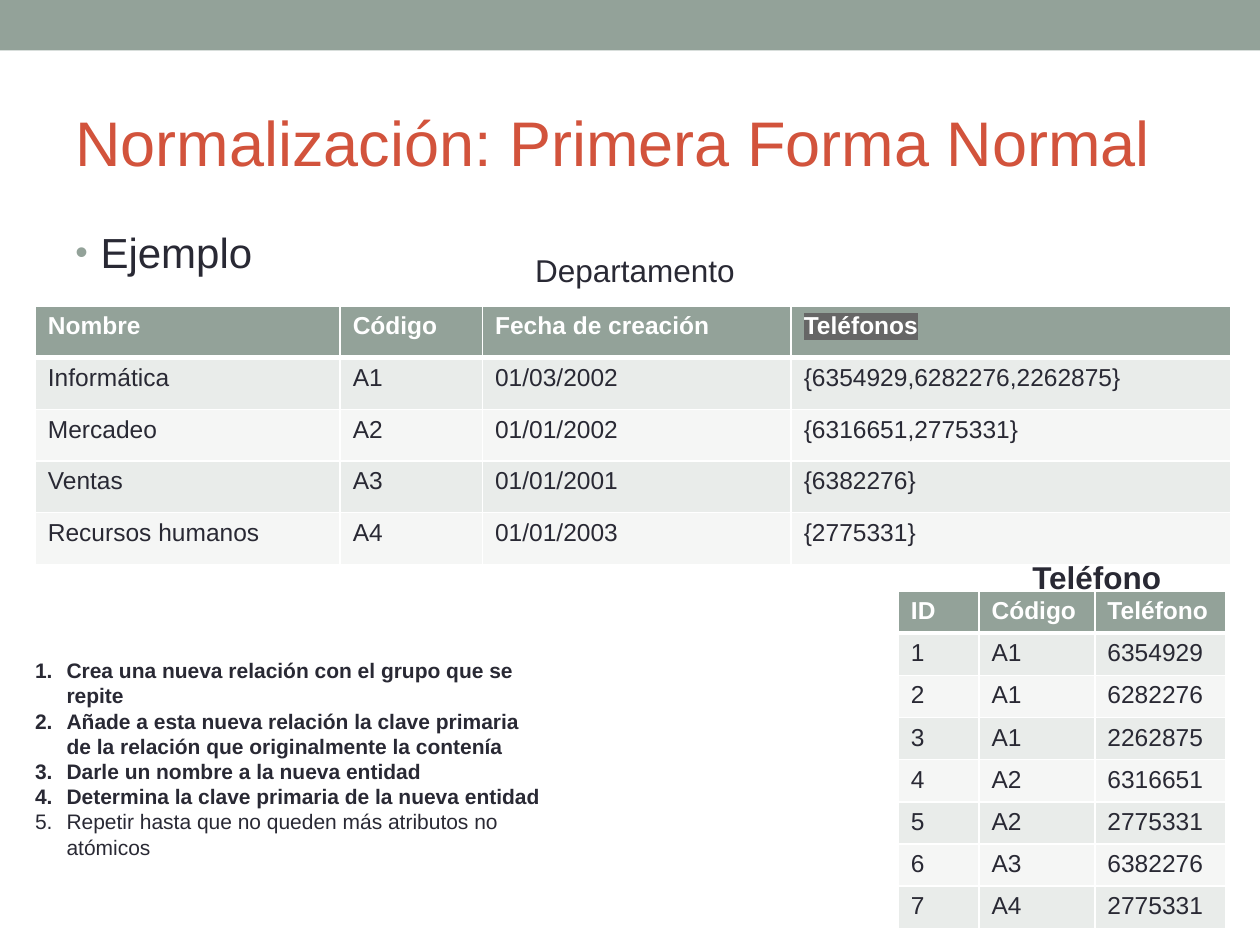
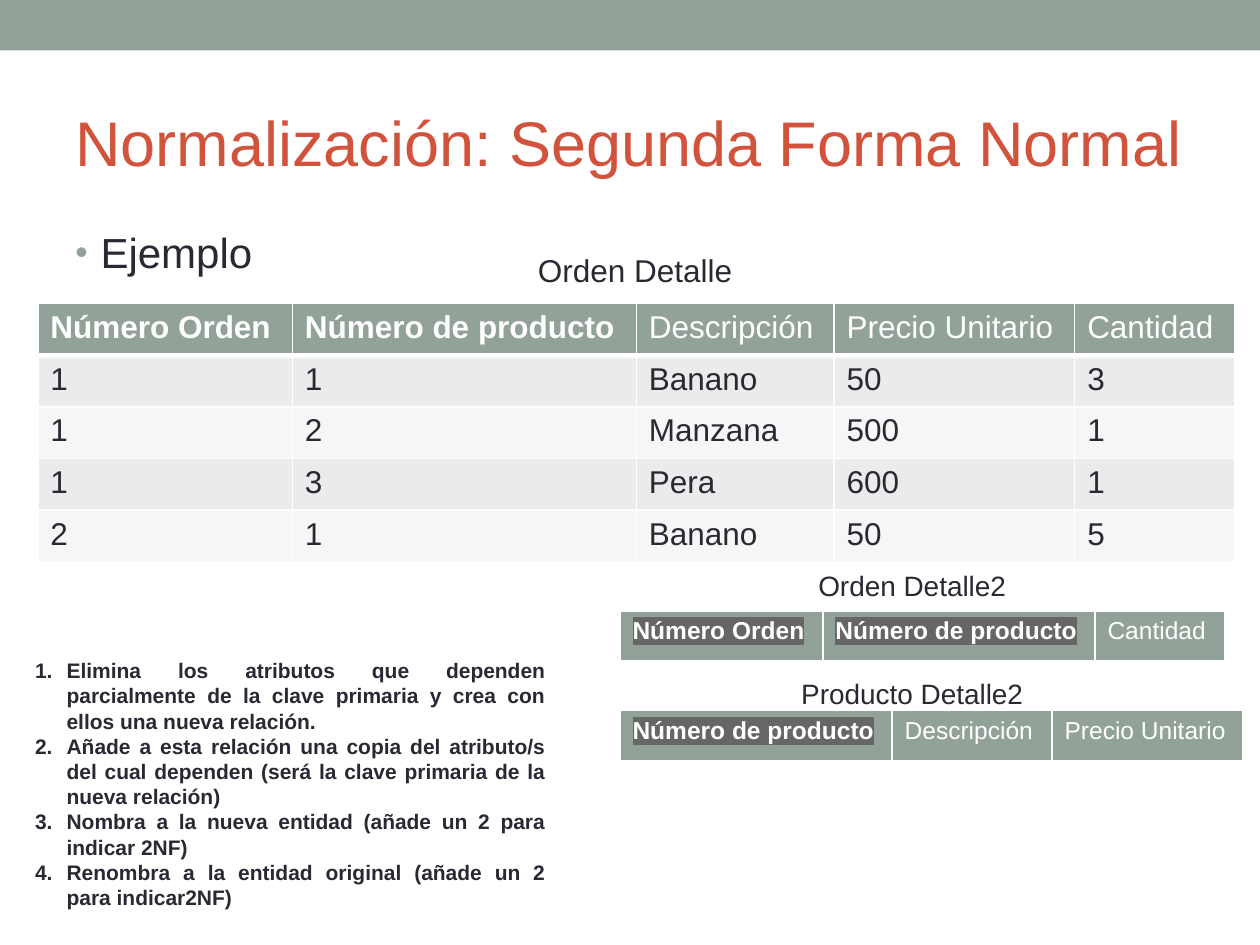
from lxml import etree
from pptx import Presentation, util as u
from pptx.dml.color import RGBColor
from pptx.enum import shapes, text
from pptx.oxml.ns import qn

PX = 9144  # EMU in one px, 100 px to the inch
FONT = "Arial"
COLORS = {
    "sage": "93A299", "title": "D2533C", "ink": "292934", "white": "FFFFFF",
    "odd_row": "E9ECEA", "even_row": "F5F6F5", "mark": "666666",
}
LEFT, CENTER, JUSTIFY = text.PP_ALIGN.LEFT, text.PP_ALIGN.CENTER, text.PP_ALIGN.JUSTIFY


def px(length):
    return u.Emu(length * PX)


def rgb(color):
    return RGBColor.from_string(COLORS[color])


def add_color(parent, color):
    etree.SubElement(parent, qn("a:srgbClr"), val=COLORS[color])


def write(paragraph, words, size=14, color="ink", bold=False, align=LEFT, mark=None):
    """Put one formatted run into a paragraph."""
    paragraph.alignment = align
    run = paragraph.add_run()
    run.text = words
    font = run.font
    font.name, font.size, font.bold = FONT, u.Pt(size), bold
    font.color.rgb = rgb(color)
    if mark:
        properties = run._r.get_or_add_rPr()
        highlight = etree.Element(qn("a:highlight"))
        add_color(highlight, mark)
        properties.find(qn("a:solidFill")).addnext(highlight)


def add_bullet(paragraph, indent, color, percent, tag, **attributes):
    """Give a paragraph a hanging bullet or number."""
    properties = paragraph._p.get_or_add_pPr()
    properties.set("marL", str(px(indent)))
    properties.set("indent", str(px(-indent)))
    add_color(etree.SubElement(properties, qn("a:buClr")), color)
    etree.SubElement(properties, qn("a:buSzPct"), val=str(percent * 1000))
    etree.SubElement(properties, qn("a:buFont"), typeface=FONT)
    etree.SubElement(properties, qn(tag), **attributes)


def add_borders(cell, top, bottom):
    """Draw white cell borders; top and bottom are widths in points."""
    properties = cell._tc.get_or_add_tcPr()
    for side, width in (("L", 1), ("R", 1), ("T", top), ("B", bottom)):
        line = etree.SubElement(properties, qn(f"a:ln{side}"), w=str(u.Pt(width)))
        add_color(etree.SubElement(line, qn("a:solidFill")), "white")


class Deck:
    def __init__(self):
        self.presentation = Presentation()
        self.presentation.slide_width = px(1000)
        self.presentation.slide_height = px(750)
        self.slide = None

    def text_frame(self, left, top, width, height, anchor=text.MSO_ANCHOR.TOP):
        box = self.slide.shapes.add_textbox(px(left), px(top), px(width), px(height))
        frame = box.text_frame
        frame.word_wrap = True
        frame.vertical_anchor = anchor
        return frame

    def new_slide(self, title):
        """Start a slide with the top band, the title and the Ejemplo bullet."""
        self.slide = self.presentation.slides.add_slide(self.presentation.slide_layouts[6])
        band = self.slide.shapes.add_shape(
            shapes.MSO_SHAPE.RECTANGLE, 0, 0, px(1000), px(40))
        band.shadow.inherit = False
        band.fill.solid()
        band.fill.fore_color.rgb = rgb("sage")
        band.line.fill.background()

        heading = self.text_frame(50, 58, 900, 108, text.MSO_ANCHOR.MIDDLE)
        write(heading.paragraphs[0], title, size=36, color="title")

        example = self.text_frame(50, 175, 900, 533).paragraphs[0]
        write(example, "Ejemplo", size=24, align=JUSTIFY)
        add_bullet(example, 20, "sage", 85, "a:buChar", char="•")

    def caption(self, words, left, top, width=260, height=40, **style):
        frame = self.text_frame(left, top, width, height)
        write(frame.paragraphs[0], words, align=CENTER, **style)

    def steps(self, items, height, bold_count, align=LEFT):
        frame = self.text_frame(18, 517, 425, height)
        for index, item in enumerate(items):
            paragraph = frame.paragraphs[0] if index == 0 else frame.add_paragraph()
            paragraph.line_spacing = u.Pt(14.4)
            write(paragraph, item, size=12, bold=index < bold_count, align=align)
            add_bullet(paragraph, 25, "ink", 100, "a:buAutoNum", type="arabicPeriod")

    def table(self, left, top, columns, row_height, rows, bold=(), marked=(), size=14):
        """Draw a table; bold and marked name header cells."""
        table = self.slide.shapes.add_table(
            len(rows), len(columns), px(left), px(top),
            px(sum(columns)), px(row_height * len(rows))).table
        table.first_row = table.horz_banding = False
        for column, width in zip(table.columns, columns):
            column.width = px(width)
        for index, values in enumerate(rows):
            table.rows[index].height = px(row_height)
            header = index == 0
            fill = "sage" if header else "odd_row" if index % 2 else "even_row"
            for column, value in enumerate(values):
                cell = table.cell(index, column)
                add_borders(cell, top=3 if index == 1 else 1, bottom=3 if header else 1)
                cell.fill.solid()
                cell.fill.fore_color.rgb = rgb(fill)
                write(cell.text_frame.paragraphs[0], value, size=size,
                      color="white" if header else "ink",
                      bold=header and value in bold,
                      mark="mark" if header and value in marked else None)


def first_normal_form(deck):
    deck.new_slide("Normalización: Primera Forma Normal")

    # Department table
    header = ("Nombre", "Código", "Fecha de creación", "Teléfonos")
    departments = [
        header,
        ("Informática", "A1", "01/03/2002", "{6354929,6282276,2262875}"),
        ("Mercadeo", "A2", "01/01/2002", "{6316651,2775331}"),
        ("Ventas", "A3", "01/01/2001", "{6382276}"),
        ("Recursos humanos", "A4", "01/01/2003", "{2775331}"),
    ]
    deck.table(28, 243, (242, 113, 245, 349), 41, departments,
               bold=header, marked=("Teléfonos",))
    deck.caption("Departamento", 374, 194, size=18)

    # Steps
    deck.steps([
        "Crea una nueva relación con el grupo que se repite",
        "Añade a esta nueva relación la clave primaria de la relación que "
        "originalmente la contenía",
        "Darle un nombre a la nueva entidad",
        "Determina la clave primaria de la nueva entidad",
        "Repetir hasta que no queden más atributos no atómicos",
    ], height=172, bold_count=4)

    # Phone table, numbered by row
    header = ("ID", "Código", "Teléfono")
    phones = [
        ("A1", "6354929"), ("A1", "6282276"), ("A1", "2262875"), ("A2", "6316651"),
        ("A2", "2775331"), ("A3", "6382276"), ("A4", "2775331"),
    ]
    numbered = [(str(number), *phone) for number, phone in enumerate(phones, 1)]
    deck.table(713, 469, (64, 92, 104), 33.5, [header] + numbered, bold=header)
    deck.caption("Teléfono", 768, 438, width=205, height=31, size=18, bold=True)


def second_normal_form(deck):
    deck.new_slide("Normalización: Segunda Forma Normal")
    order, product = keys = ("Número Orden", "Número de producto")

    # Order detail table
    details = [
        (order, product, "Descripción", "Precio Unitario", "Cantidad"),
        ("1", "1", "Banano", "50", "3"),
        ("1", "2", "Manzana", "500", "1"),
        ("1", "3", "Pera", "600", "1"),
        ("2", "1", "Banano", "50", "5"),
    ]
    deck.table(30, 241, (202, 273, 157, 191, 127), 41, details, bold=keys, size=18)
    deck.caption("Orden Detalle", 374, 194, size=18)

    # Steps
    deck.steps([
        "Elimina los atributos que dependen parcialmente de la clave primaria y "
        "crea con ellos una nueva relación.",
        "Añade a esta relación una copia del atributo/s del cual dependen (será la "
        "clave primaria de la nueva relación)",
        "Nombra a la nueva entidad (añade un 2 para indicar 2NF)",
        "Renombra a la entidad original (añade un 2 para indicar2NF)",
    ], height=212, bold_count=4, align=JUSTIFY)

    # Resulting relations
    relations = [
        ("Orden Detalle2", 446, 485, (161, 216, 103), (order, product, "Cantidad")),
        ("Producto Detalle2", 532, 564, (216, 127, 151),
         (product, "Descripción", "Precio Unitario")),
    ]
    for name, caption_top, table_top, columns, header in relations:
        deck.table(492, table_top, columns, 41, [header], bold=keys, marked=keys)
        deck.caption(name, 594, caption_top, height=37, size=16)


def main():
    deck = Deck()
    first_normal_form(deck)
    second_normal_form(deck)
    deck.presentation.save("out.pptx")


if __name__ == "__main__":
    main()
